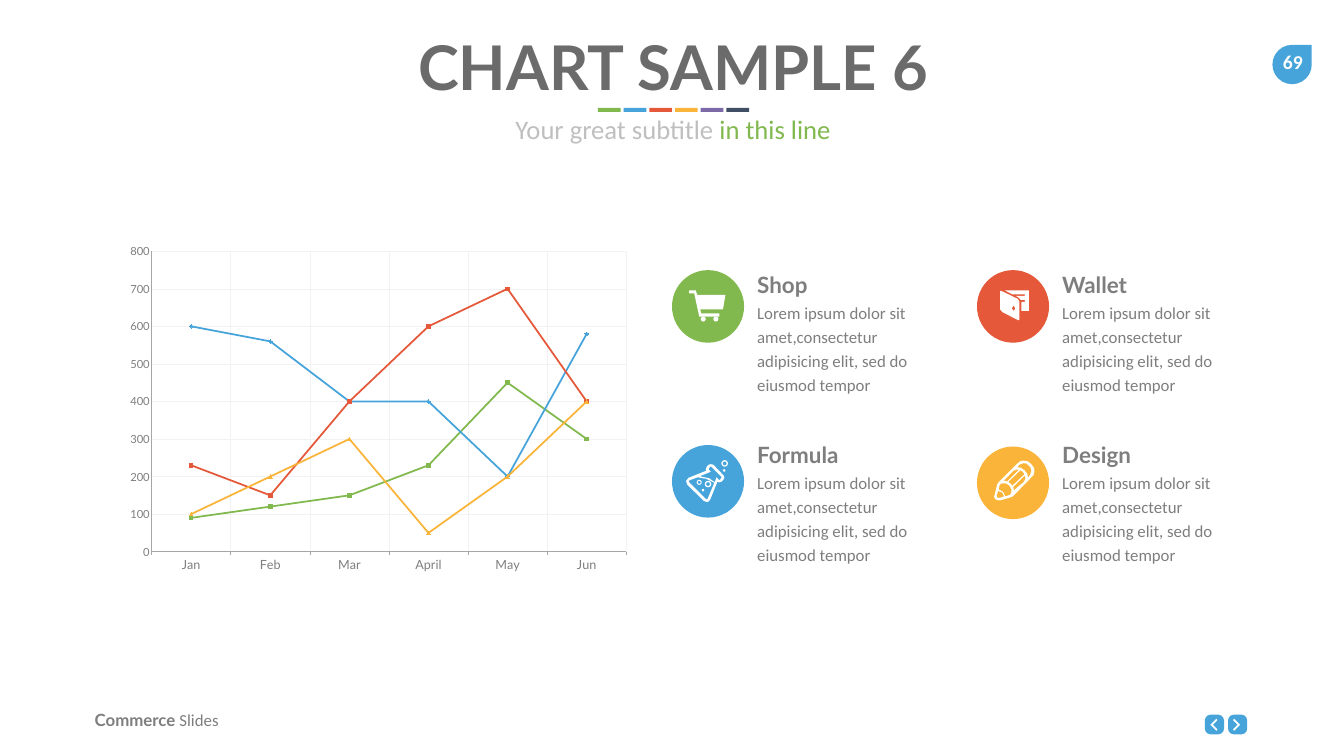
from lxml import etree
from pptx import Presentation
from pptx.chart import data
from pptx.dml import color
from pptx.enum import chart as chart_enum, shapes, text
from pptx.oxml import ns
from pptx.util import Inches, Pt

GREEN, BLUE, RED, YELLOW = "81B94F", "46A4DB", "E5583A", "F9B439"
GREY, WHITE, GRID, AXIS = "7E7E7E", "FFFFFF", "F2F2F2", "A6A6A6"
BAR_COLORS = [GREEN, BLUE, RED, YELLOW, "7C69A8", "404F64"]

MONTHS = ["Jan", "Feb", "Mar", "April", "May", "Jun"]
MARKERS = chart_enum.XL_MARKER_STYLE
SERIES = [
    ("Series 1", [90, 120, 150, 230, 450, 300], GREEN, MARKERS.SQUARE),
    ("Series 2", [600, 560, 400, 400, 200, 580], BLUE, MARKERS.DIAMOND),
    ("Series 3", [230, 150, 400, 600, 700, 400], RED, MARKERS.SQUARE),
    ("Series 4", [100, 200, 300, 50, 200, 400], YELLOW, MARKERS.TRIANGLE),
]
PLOT_LAYOUT = {"layoutTarget": "inner", "xMode": "edge", "yMode": "edge",
               "x": 0.061, "y": 0.02, "w": 0.915, "h": 0.886}

BODY = "Lorem ipsum dolor sit amet,consectetur adipisicing elit, sed do eiusmod tempor"

# Icon coordinates are hundredths of an inch from the corner of the disc.
CART = [[(34, 40), (47, 40), (50, 49), (106, 49), (101, 78), (56, 78), (58, 86), (94, 86),
         (94, 92), (54, 92), (44, 46), (34, 46)]]
WALLET_BACK = [[(55, 40), (103, 40), (103, 81), (88, 81), (88, 63), (95, 63), (95, 59),
                (87, 59), (82, 54), (77, 51), (95, 51), (95, 48), (70, 48)]]
WALLET_FRONT = [
    [(46, 41), (50, 42), (81, 57), (84, 63), (84, 99), (81, 99), (50, 83), (46, 78)],
    [(73, 70), (76, 76), (73, 81), (69, 76)],
]
FLASK = [
    [(77, 38), (82, 39), (102, 60), (104, 64), (102, 69), (98, 73), (94, 74), (90, 73),
     (76, 108), (73, 112), (69, 113), (63, 111), (30, 78), (28, 71), (33, 65), (68, 51),
     (67, 48), (69, 43), (73, 39)],
    [(71, 106), (69, 108), (67, 107), (34, 74), (33, 72), (35, 70), (51, 64), (68, 67), (84, 75)],
    [(98, 65), (95, 69), (93, 69), (88, 64), (85, 74), (74, 66), (55, 62), (77, 53),
     (73, 49), (73, 47), (76, 43), (78, 43), (98, 63)],
]
PENCIL = [
    [(92, 28), (100, 29), (107, 34), (113, 42), (114, 50), (112, 57), (108, 61), (71, 99),
     (66, 101), (45, 107), (39, 106), (35, 103), (34, 99), (35, 96), (40, 75), (43, 71),
     (81, 33), (86, 29)],
    [(73, 87), (72, 80), (95, 57), (96, 64), (93, 70)],
    [(70, 78), (67, 74), (62, 70), (86, 47), (91, 50), (94, 55)],
    [(60, 69), (53, 68), (72, 48), (77, 46), (83, 46)],
    [(44, 102), (40, 101), (39, 97), (42, 88), (50, 91), (54, 99)],
    [(56, 99), (52, 90), (43, 85), (45, 76), (49, 73), (57, 73), (64, 77), (68, 84),
     (68, 92), (65, 96)],
    [(105, 57), (101, 62), (100, 54), (94, 47), (87, 42), (80, 41), (84, 36), (92, 33),
     (99, 34), (106, 41), (108, 48)],
]
CHEVRON_LEFT = [(23, 8), (25, 11), (16, 20), (25, 29), (23, 32), (11, 20)]
CHEVRON_RIGHT = [(35 - x, y) for x, y in CHEVRON_LEFT]

FEATURES = [
    {"title": "Shop", "color": GREEN, "disc_top": 5.36, "outlines": [CART],
     "dots": [(57, 92, 10), (82, 92, 10)], "rings": []},
    {"title": "Wallet", "color": RED, "disc_top": 5.36,
     "outlines": [WALLET_BACK, WALLET_FRONT], "dots": [], "rings": []},
    {"title": "Formula", "color": BLUE, "disc_top": 8.83, "outlines": [FLASK],
     "dots": [(59, 87, 5), (101, 48, 5)],
     "rings": [(65, 71, 13), (98, 30, 13), (49, 69, 10)]},
    {"title": "Design", "color": YELLOW, "disc_top": 8.86, "outlines": [PENCIL],
     "dots": [], "rings": []},
]


def rgb(value):
    return color.RGBColor.from_string(value)


def paint(shape, fill):
    shape.shadow.inherit = False
    shape.fill.solid()
    shape.fill.fore_color.rgb = rgb(fill)
    shape.line.fill.background()


def add_preset(slide, preset, box, fill):
    shape = slide.shapes.add_shape(preset, *map(Inches, box))
    paint(shape, fill)
    return shape


def add_outline(slide, contours, left, top):
    builder = slide.shapes.build_freeform(*contours[0][0], scale=Inches(0.01))
    builder.add_line_segments(contours[0][1:])
    for contour in contours[1:]:
        builder.move_to(*contour[0])
        builder.add_line_segments(contour[1:])
    paint(builder.convert_to_shape(Inches(left), Inches(top)), WHITE)


def style(font, name, size, fill, bold=False):
    font.name, font.size, font.bold = name, Pt(size), bold
    font.color.rgb = rgb(fill)


def add_text(slide, box, paragraphs, align=text.PP_ALIGN.LEFT, spacing=None, insets=None, wrap=True):
    frame = slide.shapes.add_textbox(*map(Inches, box)).text_frame
    frame.word_wrap = wrap
    if insets:
        (frame.margin_left, frame.margin_top,
         frame.margin_right, frame.margin_bottom) = map(Inches, insets)
    for index, runs in enumerate(paragraphs):
        paragraph = frame.add_paragraph() if index else frame.paragraphs[0]
        paragraph.alignment = align
        paragraph.line_spacing = spacing
        for words, *look in runs:
            run = paragraph.add_run()
            run.text = words
            style(run.font, *look)


def add_line_chart(slide):
    chart_data = data.CategoryChartData()
    chart_data.categories = MONTHS
    for name, values, *_ in SERIES:
        chart_data.add_series(name, values)
    chart = slide.shapes.add_chart(chart_enum.XL_CHART_TYPE.LINE_MARKERS,
                                   *map(Inches, (2.38, 4.85, 10.29, 6.73)), chart_data).chart
    chart.has_legend = chart.has_title = False
    style(chart.font, "Lato", 18, GREY)
    chart.plots[0].vary_by_categories = False
    for series, (_, _, fill, marker) in zip(chart.plots[0].series, SERIES):
        series.smooth = False
        series.format.line.color.rgb = rgb(fill)
        series.format.line.width = Pt(2.5)
        series.marker.style, series.marker.size = marker, 5
        series.marker.format.fill.solid()
        series.marker.format.fill.fore_color.rgb = rgb(fill)
        series.marker.format.line.color.rgb = rgb(fill)
    ticks = chart_enum.XL_TICK_MARK
    for axis, size, tick in [(chart.category_axis, 18, ticks.OUTSIDE), (chart.value_axis, 16, ticks.NONE)]:
        style(axis.tick_labels.font, "Lato", size, GREY)
        axis.major_tick_mark, axis.minor_tick_mark = tick, ticks.NONE
        axis.has_major_gridlines = True
        axis.major_gridlines.format.line.color.rgb = rgb(GRID)
        axis.major_gridlines.format.line.width = Pt(0.75)
        axis.format.line.color.rgb = rgb(AXIS)
    chart.value_axis.minimum_scale, chart.value_axis.maximum_scale = 0, 800
    chart.value_axis.major_unit = 100
    plot_area = chart.plots[0]._element.getparent()
    for old in plot_area.findall(ns.qn("c:layout")):
        plot_area.remove(old)
    layout = etree.Element(ns.qn("c:layout"))
    manual = etree.SubElement(layout, ns.qn("c:manualLayout"))
    for tag, value in PLOT_LAYOUT.items():
        etree.SubElement(manual, ns.qn(f"c:{tag}")).set("val", str(value))
    plot_area.insert(0, layout)


def add_feature(slide, feature, column, row):
    left, top = 13.33 + 6.05 * column, feature["disc_top"]
    preset = shapes.MSO_SHAPE
    add_preset(slide, preset.OVAL, (left, top, 1.43, 1.44), feature["color"])
    for contours in feature["outlines"]:
        add_outline(slide, contours, left, top)
    for kind, key in [(preset.OVAL, "dots"), (preset.DONUT, "rings")]:
        for x, y, size in feature[key]:
            box = (left + x / 100, top + y / 100, size / 100, size / 100)
            shape = add_preset(slide, kind, box, WHITE)
            if kind == preset.DONUT:
                shape.adjustments[0] = 0.2
    add_text(slide, (left + 1.69, 5.15 + 3.37 * row, 3.86, 2.22),
             [[(feature["title"], "Lato", 32, GREY, True)], [(BODY, "Calibri", 24, GREY)]],
             spacing=1.2, insets=(0, 0.13, 0, 0))


def main():
    presentation = Presentation()
    presentation.slide_width, presentation.slide_height = Inches(26.66), Inches(15)
    slide = presentation.slides.add_slide(presentation.slide_layouts[6])
    preset, center = shapes.MSO_SHAPE, text.PP_ALIGN.CENTER

    for left, chevron in [(23.9, CHEVRON_LEFT), (24.36, CHEVRON_RIGHT)]:
        button = add_preset(slide, preset.ROUNDED_RECTANGLE, (left, 14.18, 0.38, 0.39), BLUE)
        button.adjustments[0] = 0.3
        add_outline(slide, [chevron], left, 14.18)
    add_preset(slide, preset.TEAR, (25.24, 0.89, 0.78, 0.78), BLUE)
    add_text(slide, (25.21, 0.9, 0.87, 0.67), [[("69", "Calibri", 28, WHITE, True)]],
             center, insets=(0.2, 0.1, 0.2, 0.1), wrap=False)
    add_text(slide, (1.78, 14.04, 4, 0.5),
             [[("Commerce ", "Lato", 24, GREY, True), ("Slides", "Calibri", 24, GREY)]])

    add_text(slide, (1.9, 0.53, 22.9, 1.58), [[("CHART SAMPLE 6", "Lato", 88, "6B6B6B", True)]], center)
    for index, fill in enumerate(BAR_COLORS):
        add_preset(slide, preset.RECTANGLE, (11.86 + 0.51 * index, 2.14, 0.45, 0.08), fill)
    add_text(slide, (1.9, 2.2, 22.9, 0.74),
             [[("Your great subtitle ", "Calibri", 38, "BFBFBF"), ("in this line", "Calibri", 38, GREEN)]], center)

    add_line_chart(slide)
    for index, feature in enumerate(FEATURES):
        add_feature(slide, feature, index % 2, index // 2)
    presentation.save("out.pptx")


if __name__ == "__main__":
    main()
